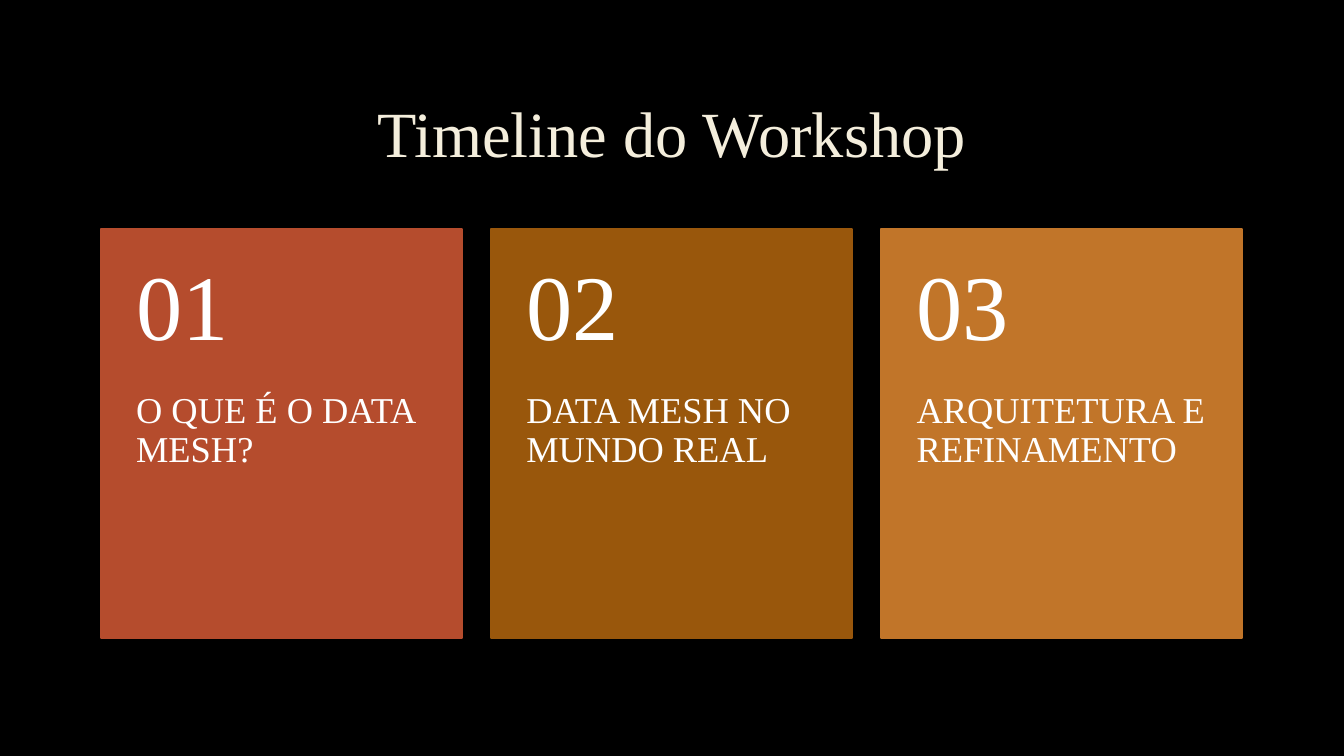
"""Builds the workshop timeline slide with three numbered cards."""
from dataclasses import dataclass

from pptx import Presentation
from pptx.dml.color import RGBColor
from pptx.enum.shapes import MSO_SHAPE
from pptx.enum.text import MSO_ANCHOR, PP_ALIGN
from pptx.util import Inches, Pt

RECTANGLE = MSO_SHAPE.RECTANGLE
TOP, MIDDLE = MSO_ANCHOR.TOP, MSO_ANCHOR.MIDDLE
LEFT, CENTER = PP_ALIGN.LEFT, PP_ALIGN.CENTER


@dataclass(frozen=True)
class Theme:
    """Colours, font and type sizes of the slide."""
    font: str = "Times New Roman"
    background: str = "000000"
    title: str = "F4EEDC"
    card_text: str = "FFFFFF"
    cards: tuple = ("B54C2D", "99570C", "C17529")
    title_size: int = 46
    number_size: int = 66
    topic_size: int = 26
    border: float = 1.25
    line_spacing: float = 0.9


class TimelineSlide:
    """Holds the theme and the slide, and draws each kind of element."""

    def __init__(self, slide, theme):
        """Keep the slide and theme, and paint the background."""
        self.slide = slide
        self.theme = theme
        fill = slide.background.fill
        fill.solid()
        fill.fore_color.rgb = RGBColor.from_string(theme.background)

    def text(self, shapes, box, content, size, color, margins, anchor=MIDDLE, align=LEFT):
        """Add a text box with one paragraph."""
        shape = shapes.add_textbox(*map(Inches, box))
        frame = shape.text_frame
        frame.word_wrap = True
        frame.vertical_anchor = anchor
        (frame.margin_left, frame.margin_top,
         frame.margin_right, frame.margin_bottom) = map(Inches, margins)
        paragraph = frame.paragraphs[0]
        paragraph.alignment = align
        paragraph.line_spacing = self.theme.line_spacing
        run = paragraph.add_run()
        run.text = content
        run.font.name = self.theme.font
        run.font.size = Pt(size)
        run.font.color.rgb = RGBColor.from_string(color)

    def title(self, content):
        """Add the centred slide title."""
        self.text(self.slide.shapes, (1, 0.67, 11.32, 1.38), content, self.theme.title_size,
                  self.theme.title, (0.1, 0.05, 0.1, 0.05), align=CENTER)

    def panel(self, shapes, box, color):
        """Add a filled rectangle with a border of the same colour."""
        shape = shapes.add_shape(RECTANGLE, *map(Inches, box))
        shape.shadow.inherit = False
        shape.fill.solid()
        shape.fill.fore_color.rgb = RGBColor.from_string(color)
        shape.line.color.rgb = RGBColor.from_string(color)
        shape.line.width = Pt(self.theme.border)

    def card(self, left, number, topic, color):
        """Add a group of panel, topic and number."""
        theme = self.theme
        top, width, height, number_height = 2.27, 3.58, 4.06, 1.62
        shapes = self.slide.shapes.add_group_shape().shapes
        self.panel(shapes, (left, top, width, height), color)
        self.text(shapes, (left, top + number_height, width, height - number_height), topic,
                  theme.topic_size, theme.card_text, (0.35, 0, 0.35, 0.36), anchor=TOP)
        self.text(shapes, (left, top, width, number_height), f"{number:02}",
                  theme.number_size, theme.card_text, (0.35, 0.18, 0.35, 0.18))


def main():
    """Build and save the presentation."""
    presentation = Presentation()
    presentation.slide_width = Inches(13.33)
    presentation.slide_height = Inches(7.5)
    theme = Theme()
    timeline = TimelineSlide(
        presentation.slides.add_slide(presentation.slide_layouts[6]), theme)
    timeline.title("Timeline do Workshop")
    topics = ("O QUE É O DATA MESH?", "DATA MESH NO MUNDO REAL", "ARQUITETURA E REFINAMENTO")
    first_left, pitch = 1, 3.87
    for index, (topic, color) in enumerate(zip(topics, theme.cards)):
        timeline.card(first_left + index * pitch, index + 1, topic, color)
    presentation.save("out.pptx")


if __name__ == "__main__":
    main()
